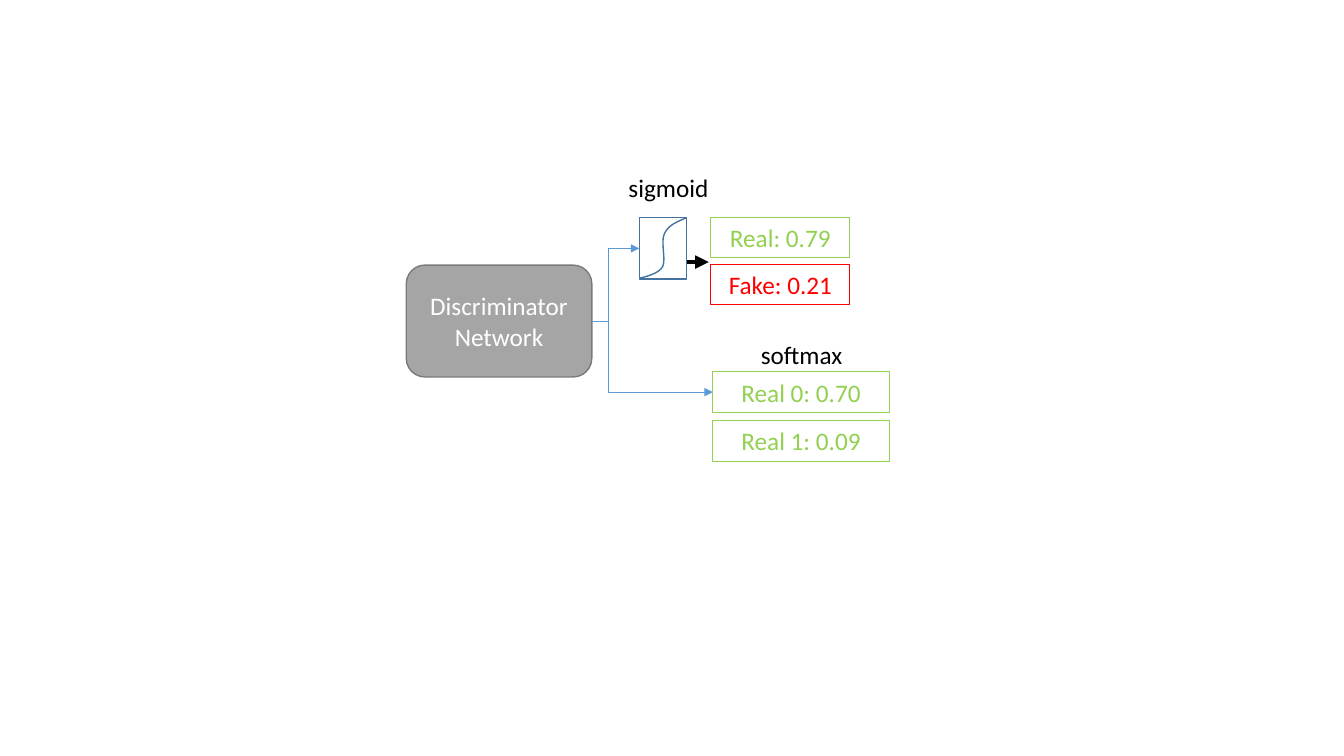
from dataclasses import dataclass

from lxml.etree import SubElement
from pptx import Presentation
from pptx.dml.color import RGBColor
from pptx.enum.shapes import MSO_CONNECTOR as LINK, MSO_SHAPE as SHAPE
from pptx.enum.text import MSO_ANCHOR as ANCHOR, PP_ALIGN as ALIGN
from pptx.oxml.ns import qn
from pptx.util import Inches, Pt


@dataclass(frozen=True)
class Theme:
    font: str = "Calibri"
    size: float = 18
    gray: str = "A5A5A5"
    gray_edge: str = "7A7A7A"
    real: str = "92D050"
    fake: str = "FF0000"
    unit_edge: str = "43739E"
    link: str = "5B9BD5"
    black: str = "000000"
    white: str = "FFFFFF"


theme = Theme()


def write(shape, text, color, anchor=ANCHOR.TOP):
    frame = shape.text_frame
    frame.text = text
    frame.word_wrap = True
    frame.vertical_anchor = anchor
    paragraph = frame.paragraphs[0]
    paragraph.alignment = ALIGN.CENTER
    font = paragraph.runs[0].font
    font.name, font.size = theme.font, Pt(theme.size)
    font.color.rgb = RGBColor.from_string(color)


def style_arrow(arrow, color, width):
    arrow.line.color.rgb = RGBColor.from_string(color)
    arrow.line.width = Pt(width)
    SubElement(arrow.line._get_or_add_ln(), qn("a:tailEnd"), type="triangle")
    SubElement(arrow._element.spPr, qn("a:effectLst"))


deck = Presentation()
deck.slide_width, deck.slide_height = Inches(13.33), Inches(7.5)
shapes = deck.slides.add_slide(deck.slide_layouts[6]).shapes

# Discriminator
discriminator = shapes.add_shape(SHAPE.ROUNDED_RECTANGLE, Inches(4.03), Inches(2.63),
                                 Inches(1.84), Inches(1.11))
discriminator.shadow.inherit = False
discriminator.fill.solid()
discriminator.fill.fore_color.rgb = RGBColor.from_string(theme.gray)
discriminator.line.color.rgb = RGBColor.from_string(theme.gray_edge)
discriminator.line.width = Pt(1)
write(discriminator, "Discriminator Network", theme.white, ANCHOR.MIDDLE)

# Arrow from the sigmoid unit to its scores, starting behind the unit
sigmoid_output = shapes.add_connector(LINK.STRAIGHT, Inches(6.34), Inches(2.6),
                                      Inches(7.03), Inches(2.6))
style_arrow(sigmoid_output, theme.black, 3.25)

# Score boxes
scores = {}
for text, left, top, width, height, color in [
    ("Real: 0.79", 7.05, 2.16, 1.38, 0.4, theme.real),
    ("Fake: 0.21", 7.05, 2.62, 1.38, 0.4, theme.fake),
    ("Real 0: 0.70", 7.07, 3.69, 1.75, 0.4, theme.real),
    ("Real 1: 0.09", 7.07, 4.17, 1.75, 0.41, theme.real),
]:
    score = shapes.add_shape(SHAPE.RECTANGLE, Inches(left), Inches(top),
                             Inches(width), Inches(height))
    score.shadow.inherit = False
    score.fill.background()
    score.line.color.rgb = RGBColor.from_string(color)
    score.line.width = Pt(0.75)
    write(score, text, color)
    scores[text] = score

# Sigmoid unit
sigmoid_unit = shapes.add_shape(SHAPE.RECTANGLE, Inches(6.34), Inches(2.16),
                                Inches(0.47), Inches(0.61))
sigmoid_unit.fill.solid()
sigmoid_unit.fill.fore_color.rgb = RGBColor.from_string(theme.white)

# Sigmoid curve, sampled from three Bezier segments
bends = [
    [(6.81, 2.16), (6.72, 2.2), (6.63, 2.23), (6.59, 2.32)],
    [(6.59, 2.32), (6.55, 2.4), (6.61, 2.58), (6.57, 2.65)],
    [(6.57, 2.65), (6.52, 2.73), (6.34, 2.76), (6.34, 2.76)],
]
STEPS = 12
curve_points = []
for bend in bends:
    for step in range(1, STEPS + 1):
        t = step / STEPS
        weights = ((1 - t) ** 3, 3 * t * (1 - t) ** 2, 3 * t ** 2 * (1 - t), t ** 3)
        curve_points.append(tuple(
            Inches(sum(w * value for w, value in zip(weights, axis))) for axis in zip(*bend)))
curve_path = shapes.build_freeform(Inches(6.81), Inches(2.16))
curve_path.add_line_segments(curve_points, close=False)
sigmoid_curve = curve_path.convert_to_shape()
sigmoid_curve.fill.background()

for part in (sigmoid_unit, sigmoid_curve):
    part.shadow.inherit = False
    part.line.color.rgb = RGBColor.from_string(theme.unit_edge)
    part.line.width = Pt(1)

# Activation labels
for text, left, top in [("sigmoid", 6.06, 1.66), ("softmax", 7.38, 3.32)]:
    label = shapes.add_textbox(Inches(left), Inches(top), Inches(1.14), Inches(0.4))
    write(label, text, theme.black)

# Branches from the discriminator, both turning near x = 6.04
for target, turn in [(sigmoid_unit, 0.353), (scores["Real 0: 0.70"], 0.141)]:
    branch = shapes.add_connector(LINK.ELBOW, 0, 0, 0, 0)
    branch.begin_connect(discriminator, 3)
    branch.end_connect(target, 1)
    guides = branch._element.spPr.find(qn("a:prstGeom")).get_or_add_avLst()
    SubElement(guides, qn("a:gd"), name="adj1", fmla=f"val {round(turn * 100000)}")
    style_arrow(branch, theme.link, 0.5)

deck.save("out.pptx")
